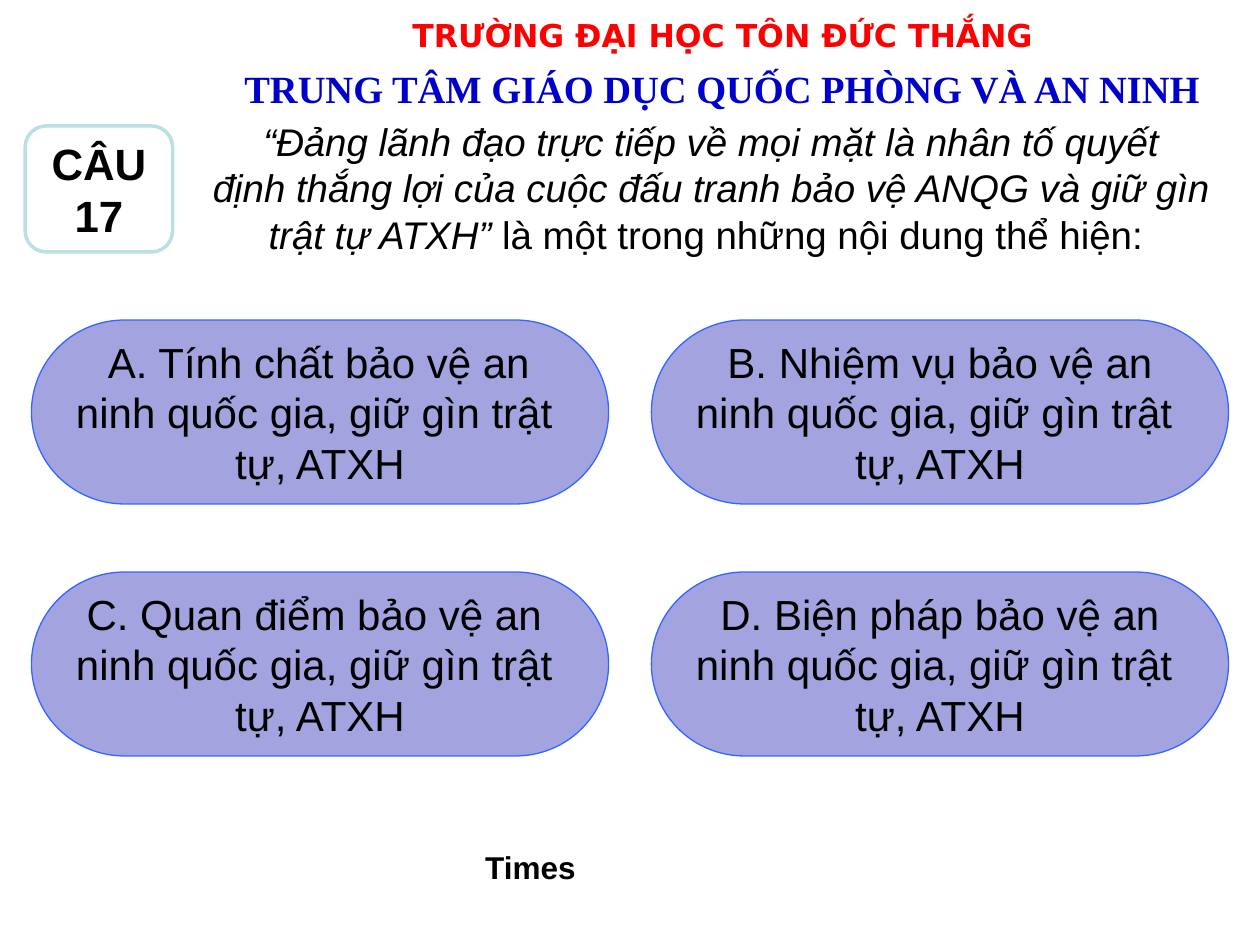
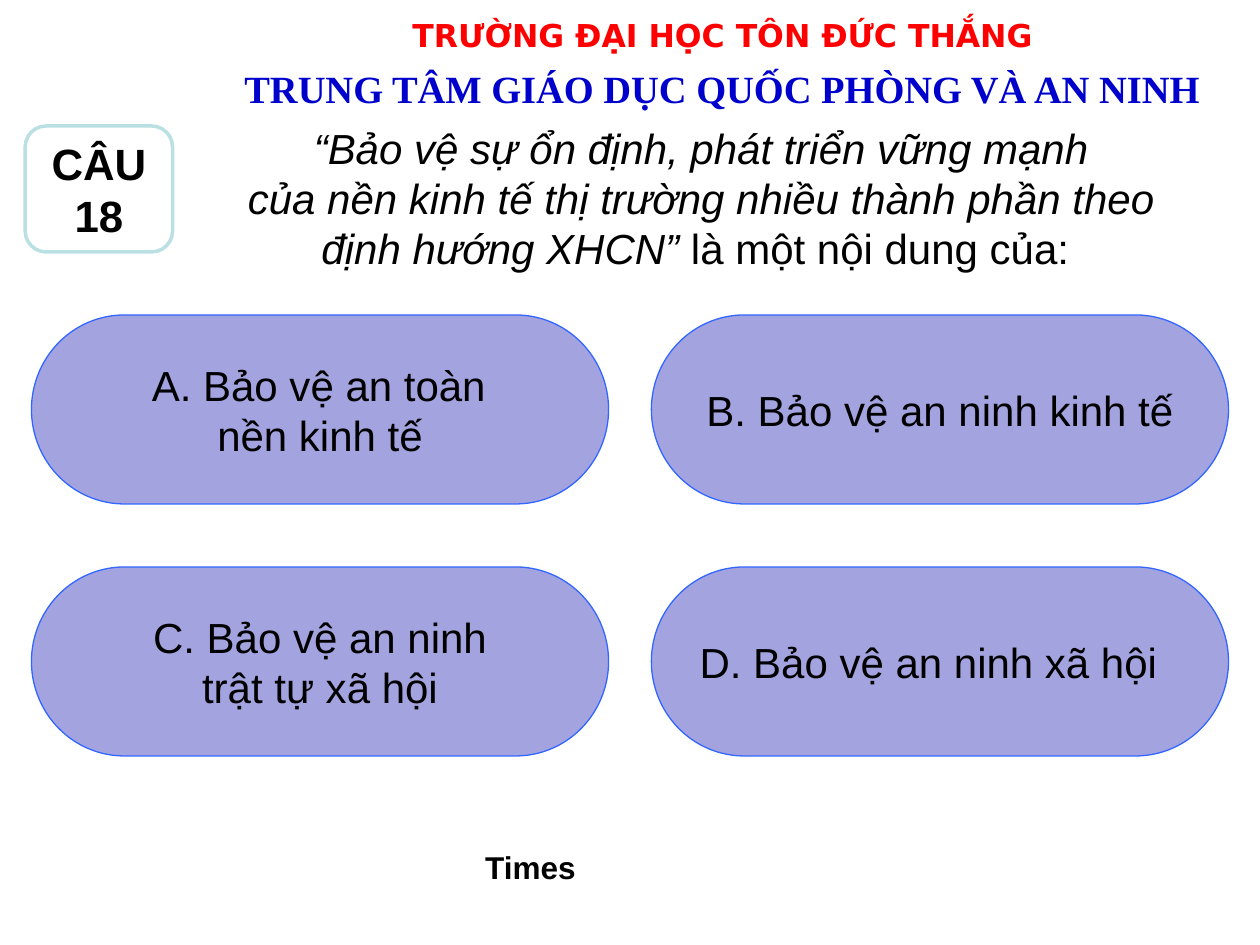
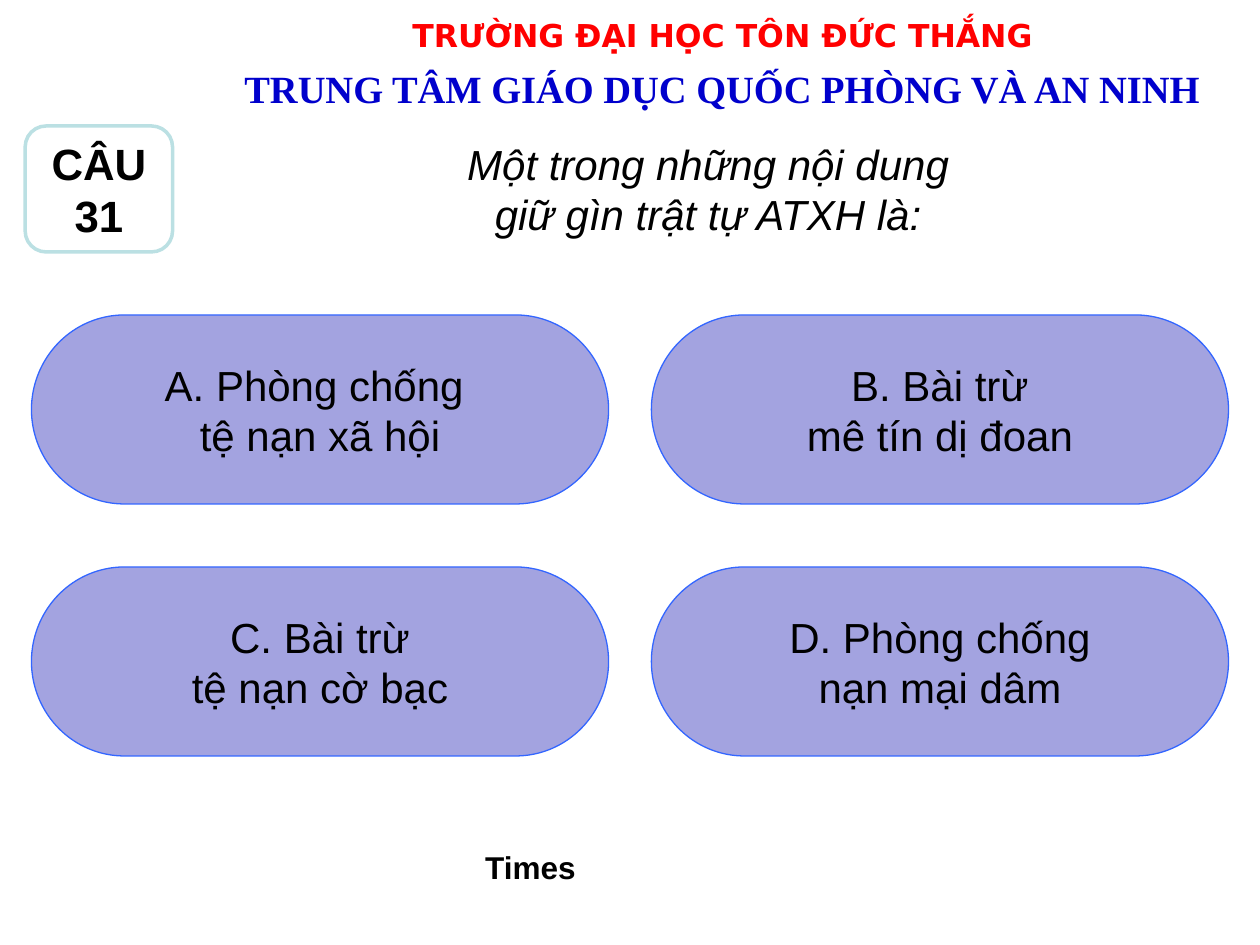
import dataclasses

import pptx
import pptx.dml.color
import pptx.enum.shapes
import pptx.enum.text
import pptx.util

Inches = pptx.util.Inches
Pt = pptx.util.Pt
Shape = pptx.enum.shapes.MSO_SHAPE
Anchor = pptx.enum.text.MSO_ANCHOR
AutoSize = pptx.enum.text.MSO_AUTO_SIZE


@dataclasses.dataclass(frozen=True)
class Theme:
    """Colours and type styles shared by all quiz slides."""

    white: str = "FFFFFF"
    answer_fill: str = "A3A3E0"
    answer_line: str = "3366FF"
    badge_line: str = "BBE0E3"
    school: tuple = ("DejaVu Sans", 18, "FF0000", True)
    centre: tuple = ("Times New Roman", 22, "0000CC", True)
    long_question: tuple = ("Arial", 22, "000000", False)
    body: tuple = ("Arial", 24, "000000", False)
    badge: tuple = ("Arial", 25, "000000", True)
    timer: tuple = ("Arial", 18, "000000", True)


@dataclasses.dataclass(frozen=True)
class Question:
    """One quiz question, its place and its four answers."""

    number: int
    box: tuple
    style: tuple
    lines: tuple
    answers: tuple
    answers_box: tuple = (0.25, 2.5, 9.5, 3.5)


THEME = Theme()
SCHOOL = "TRƯỜNG ĐẠI HỌC TÔN ĐỨC THẮNG"
CENTRE = "TRUNG TÂM GIÁO DỤC QUỐC PHÒNG VÀ AN NINH"
SECURITY = ("ninh quốc gia, giữ gìn trật ", "tự, ATXH")
QUESTIONS = (
    Question(
        17, (1.48, 0.89, 8.33, 1.2), THEME.long_question,
        (("“Đảng lãnh đạo trực tiếp về mọi mặt là nhân tố quyết",),
         ("định thắng lợi của cuộc đấu tranh bảo vệ ANQG và giữ gìn",),
         ("trật tự ATXH”", " là một trong những nội dung thể hiện: ")),
        ((" A. Tính chất bảo vệ an ", *SECURITY),
         (" B. Nhiệm vụ bảo vệ an ", *SECURITY),
         ("C. Quan điểm bảo vệ an ", *SECURITY),
         (" D. Biện pháp bảo vệ an ", *SECURITY)),
        (0.25, 2.54, 9.5, 3.46),
    ),
    Question(
        18, (1.51, 0.92, 8.11, 1.3), THEME.body,
        (("“Bảo vệ sự ổn định, phát triển vững mạnh",),
         ("của nền kinh tế thị trường nhiều thành phần theo",),
         ("định hướng XHCN” ", "là một nội dung của: ")),
        ((" A. Bảo vệ an toàn ", "nền kinh tế"),
         ("B. Bảo vệ an ninh kinh tế",),
         (" C. Bảo vệ an ninh ", "trật tự xã hội"),
         (" D. Bảo vệ an ninh xã hội\t",)),
    ),
    Question(
        31, (1.83, 1.05, 7.58, 0.9), THEME.body,
        (("Một trong những nội dung",), ("giữ gìn trật tự ATXH là:",)),
        (("A. Phòng chống ", "tệ nạn xã hội"),
         (" B. Bài trừ ", "mê tín dị đoan"),
         (" C. Bài trừ ", "tệ nạn cờ bạc"),
         (" D. Phòng chống ", "nạn mại dâm")),
    ),
)


def apply(target, formats):
    """Set every attribute named in formats on target."""
    for attribute, value in formats.items():
        setattr(target, attribute, value)


def rgb(colour):
    """Turn a hex string into a colour."""
    return pptx.dml.color.RGBColor.from_string(colour)


def write(shape, lines, style, italic_lead=False, **frame_formats):
    """Fill a shape with centred lines, each a tuple of runs."""
    font_name, size, colour, bold = style
    frame = shape.text_frame
    apply(frame, {"word_wrap": False, "vertical_anchor": Anchor.TOP,
                  "auto_size": AutoSize.NONE, **frame_formats})
    for index, line in enumerate(lines):
        paragraph = frame.add_paragraph() if index else frame.paragraphs[0]
        paragraph.alignment = pptx.enum.text.PP_ALIGN.CENTER
        for position, words in enumerate(line):
            run = paragraph.add_run()
            run.text = words
            apply(run.font, {"name": font_name, "size": Pt(size), "bold": bold,
                             "italic": italic_lead and position == 0})
            run.font.color.rgb = rgb(colour)


def add_text(slide, box, lines, style, **formats):
    """Place a text box with the given lines."""
    write(slide.shapes.add_textbox(*map(Inches, box)), lines, style, **formats)


def add_panel(slide, box, kind, fill, line, width, lines, style):
    """Place an outlined shape with its text in the middle."""
    panel = slide.shapes.add_shape(kind, *map(Inches, box))
    panel.shadow.inherit = False
    panel.fill.solid()
    panel.fill.fore_color.rgb = rgb(fill)
    panel.line.color.rgb = rgb(line)
    panel.line.width = Pt(width)
    write(panel, lines, style, vertical_anchor=Anchor.MIDDLE)


def add_header(slide, box):
    """Place the two institution names one above the other."""
    left, top, width, _ = box
    add_text(slide, (left + 0.3, top, width - 0.59, 0.34), ((SCHOOL,),), THEME.school)
    add_text(slide, (left, top + 0.39, width, 0.32), ((CENTRE,),), THEME.centre)


def add_answers(slide, box, answers):
    """Lay the answers out in a two by two grid inside the box."""
    left, top, width, height = box
    answer_width, row_pitch = 4.58, 2
    column_pitch = width - answer_width
    for index, answer in enumerate(answers):
        row, column = divmod(index, 2)
        cell = (left + column * column_pitch, top + row * row_pitch,
                answer_width, height - row_pitch)
        add_panel(slide, cell, Shape.FLOWCHART_TERMINATOR, THEME.answer_fill,
                  THEME.answer_line, 0.75, [(line,) for line in answer], THEME.body)


def add_question_slide(deck, question):
    """Build one slide with header, question, answers, timer and number."""
    slide = deck.slides.add_slide(deck.slide_layouts[6])
    add_header(slide, (1.73, 0.08, 8, 0.71))
    fitted = {"word_wrap": True, "auto_size": AutoSize.SHAPE_TO_FIT_TEXT}
    add_text(slide, question.box, question.lines, question.style,
             italic_lead=True, **fitted)
    add_answers(slide, question.answers_box, question.answers)
    add_text(slide, (3.67, 6.68, 1.08, 0.4), (("Times",),), THEME.timer, **fitted)
    add_panel(slide, (0.2, 1, 1.17, 1), Shape.ROUNDED_RECTANGLE, THEME.white,
              THEME.badge_line, 2, (("CÂU",), (str(question.number),)), THEME.badge)


def main():
    """Build the deck and save it."""
    deck = pptx.Presentation()
    apply(deck, {"slide_width": Inches(10), "slide_height": Inches(7.5)})
    for question in QUESTIONS:
        add_question_slide(deck, question)
    deck.save("out.pptx")


if __name__ == "__main__":
    main()
